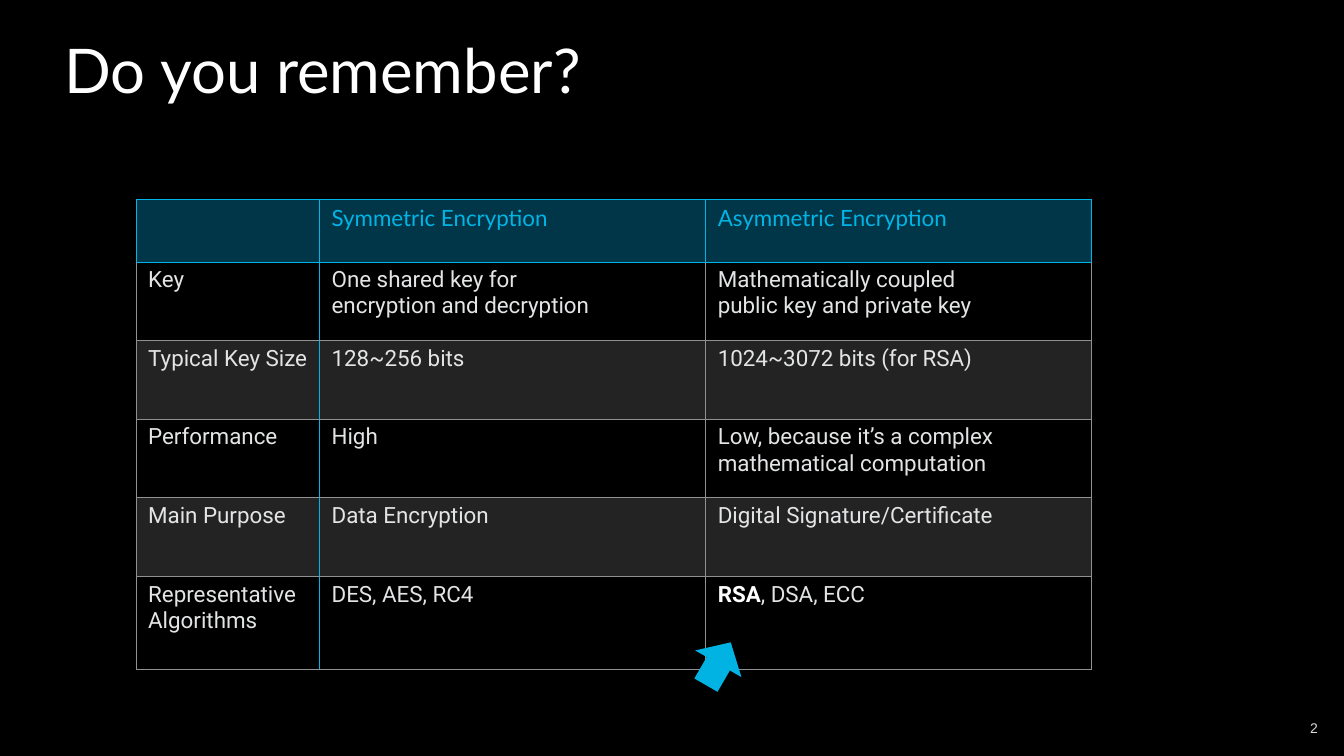
from lxml import etree
from pptx import Presentation
from pptx.dml.color import RGBColor
from pptx.enum import shapes, text
from pptx.oxml import ns
from pptx.util import Inches, Pt

HUES = {"back": "000000", "white": "FFFFFF", "cyan": "00B4E5", "head": "00B3ED",
        "band": "EEEEEF", "body": "E3E4E5", "rule": "8F9194", "arrow": "00B3E3",
        "num": "D9D9D9"}


def style(run, face, size, hue, bold=False):
    run.font.name = face
    run.font.size = Pt(size)
    run.font.bold = bold
    run.font.color.rgb = RGBColor.from_string(HUES[hue])


def edge(cell, side, hue, width):
    line = etree.SubElement(cell._tc.get_or_add_tcPr(), ns.qn("a:ln" + side), w=str(Pt(width)))
    fill = etree.SubElement(line, ns.qn("a:solidFill"))
    etree.SubElement(fill, ns.qn("a:srgbClr"), val=HUES[hue])


deck = Presentation()
deck.slide_width = Inches(13.33)
deck.slide_height = Inches(7.5)
slide = deck.slides.add_slide(deck.slide_layouts[5])
slide.background.fill.solid()
slide.background.fill.fore_color.rgb = RGBColor.from_string(HUES["back"])

title = slide.shapes.title
title.left, title.top = Inches(0.54), Inches(0.27)
title.width, title.height = Inches(6.09), Inches(0.83)
title.text_frame.text = "Do you remember?"
title.text_frame.word_wrap = False
title.text_frame.vertical_anchor = text.MSO_ANCHOR.TOP
title.text_frame.paragraphs[0].alignment = text.PP_ALIGN.LEFT
style(title.text_frame.paragraphs[0].runs[0], "Lato", 44, "white")

num = slide.shapes.add_textbox(Inches(10.17), Inches(7.02), Inches(3), Inches(0.4))
num.text_frame.text = "2"
num.text_frame.word_wrap = True
num.text_frame.vertical_anchor = text.MSO_ANCHOR.MIDDLE
num.text_frame.paragraphs[0].alignment = text.PP_ALIGN.RIGHT
style(num.text_frame.paragraphs[0].runs[0], "Arial", 10, "num")

rows = [
    ("", "Symmetric Encryption", "Asymmetric Encryption"),
    ("Key", "One shared key for\vencryption and decryption",
     "Mathematically coupled\vpublic key and private key"),
    ("Typical Key Size", "128~256 bits", "1024~3072 bits (for RSA)"),
    ("Performance", "High", "Low, because it’s a complex mathematical computation"),
    ("Main Purpose", "Data Encryption", "Digital Signature/Certificate"),
    ("Representative Algorithms", "DES, AES, RC4", "RSA, DSA, ECC"),
]
table = slide.shapes.add_table(len(rows), 3, Inches(1.35), Inches(1.98),
                               Inches(9.48), Inches(4.66)).table
table.first_row = False
table.horz_banding = False
for col, width in zip(table.columns, (1.82, 3.83, 3.83)):
    col.width = Inches(width)
for row, height in zip(table.rows, (0.62, 0.78, 0.78, 0.78, 0.78, 0.92)):
    row.height = Inches(height)

for r, row in enumerate(rows):
    for c, words in enumerate(row):
        cell = table.cell(r, c)
        cell.margin_left = Inches(0.12)
        cell.margin_right = Inches(0.1 if c else 0.09)
        cell.text = words
        for run in cell.text_frame.paragraphs[0].runs:
            style(run, "Roboto" if r else "Lato", 16, "body" if r else "cyan")
        lit = {"L": r == 0 or c == 1, "R": r == 0 or c == 0, "T": r < 2, "B": r == 0}
        for side, on in lit.items():
            edge(cell, side, "cyan" if on else "rule", 0.75)
        if r % 2 and r or r == 5:
            cell.fill.background()
            continue
        cell.fill.solid()
        cell.fill.fore_color.rgb = RGBColor.from_string(HUES["band" if r else "head"])
        tint = cell._tc.tcPr.find(ns.qn("a:solidFill"))[0]
        etree.SubElement(tint, ns.qn("a:alpha"), val="15000" if r else "30000")

last = table.cell(5, 2).text_frame.paragraphs[0]
last.runs[0].text = "RSA"
style(last.runs[0], "Roboto", 16, "white", True)
rest = last.add_run()
rest.text = ", DSA, ECC"
style(rest, "Roboto", 16, "body")

arrow = slide.shapes.add_shape(shapes.MSO_SHAPE.RIGHT_ARROW, Inches(6.88), Inches(6.32),
                               Inches(0.49), Inches(0.53))
arrow.rotation = 300
arrow.shadow.inherit = False
arrow.fill.solid()
arrow.fill.fore_color.rgb = RGBColor.from_string(HUES["arrow"])
arrow.line.fill.background()

deck.save("out.pptx")
